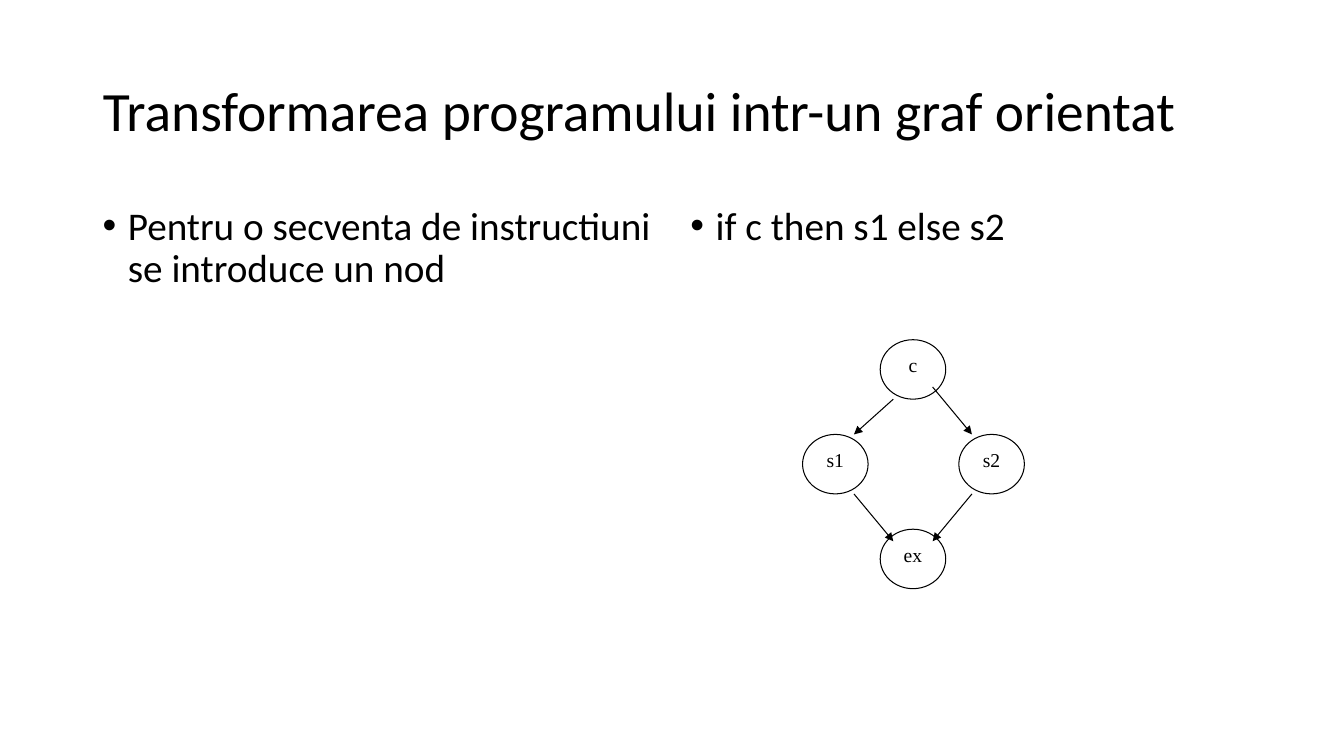
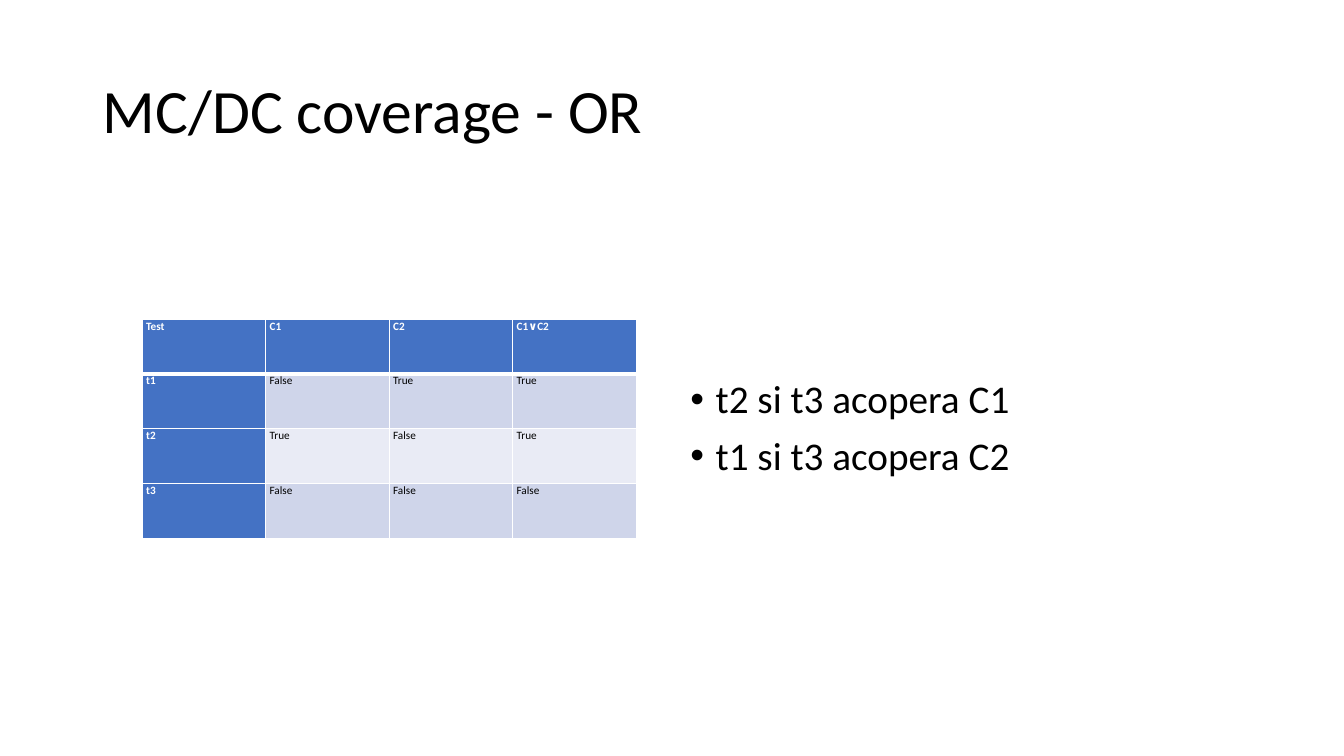
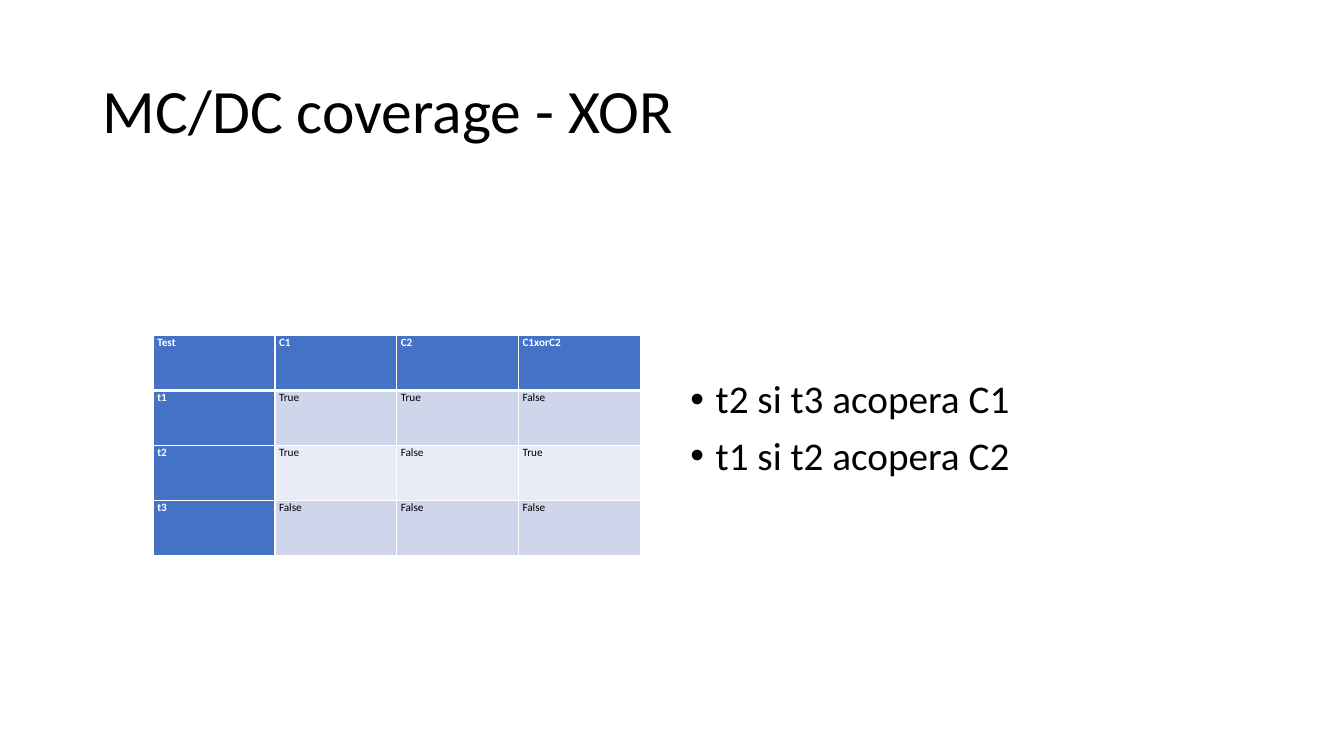
from dataclasses import dataclass
from typing import Any

from pptx import Presentation
from pptx.dml.color import RGBColor
from pptx.enum.shapes import MSO_CONNECTOR, MSO_SHAPE
from pptx.enum.text import MSO_ANCHOR, MSO_AUTO_SIZE, PP_ALIGN
from pptx.oxml.ns import qn
from pptx.util import Emu, Pt
from lxml import etree

# Shared look
EMU_PER_PX = 9144  # 100 px to the inch
COLORS = {
    "text": "000000",
    "paper": "FFFFFF",
    "header": "4472C4",
    "band_dark": "CFD5EA",
    "band_light": "E9EBF5",
}
SANS, SERIF = "Calibri", "Times New Roman"
OVAL, STRAIGHT = MSO_SHAPE.OVAL, MSO_CONNECTOR.STRAIGHT
TOP, MIDDLE = MSO_ANCHOR.TOP, MSO_ANCHOR.MIDDLE
LEFT, CENTER = PP_ALIGN.LEFT, PP_ALIGN.CENTER
NO_AUTOFIT = MSO_AUTO_SIZE.NONE
TITLE_ONLY = 5

LEFT_COLUMN, RIGHT_COLUMN = 92, 675
LIST_TOP, LIST_WIDTH, LIST_HEIGHT = 200, 567, 476
BULLET_INDENT = 25
NODE_WIDTH, NODE_HEIGHT = 65, 59


@dataclass(frozen=True)
class Node:
    label: str
    left: int
    top: int


@dataclass(frozen=True)
class Arrow:
    start: tuple[int, int]
    end: tuple[int, int]


@dataclass(frozen=True)
class Coverage:
    title: str
    table_box: tuple[int, int, int, int]
    rows: list[list[str]]
    notes: list[str]


# Content
NODES = [
    Node("c", 873, 337),
    Node("s1", 796, 431),
    Node("s2", 951, 431),
    Node("ex", 873, 525),
]
ARROWS = [
    Arrow((886, 396), (847, 431)),
    Arrow((925, 384), (964, 431)),
    Arrow((847, 490), (886, 537)),
    Arrow((964, 490), (925, 537)),
]
COVERAGES = [
    Coverage(
        "MC/DC coverage - OR",
        (141, 317, 490, 217),
        [
            ["Test", "C1", "C2", "C1∨C2"],
            ["t1", "False", "True", "True"],
            ["t2", "True", "False", "True"],
            ["t3", "False", "False", "False"],
        ],
        ["t2 si t3 acopera C1", "t1 si t3 acopera C2"],
    ),
    Coverage(
        "MC/DC coverage - XOR",
        (152, 333, 483, 218),
        [
            ["Test", "C1", "C2", "C1xorC2"],
            ["t1", "True", "True", "False"],
            ["t2", "True", "False", "True"],
            ["t3", "False", "False", "False"],
        ],
        ["t2 si t3 acopera C1", "t1 si t2 acopera C2"],
    ),
]


def px(length: int) -> Emu:
    return Emu(length * EMU_PER_PX)


def color(name: str) -> RGBColor:
    return RGBColor.from_string(COLORS[name])


def write(para: Any, text: str, *, size: float, font: str = SANS, ink: str = "text",
          bold: bool = False, align: Any = LEFT, spacing: float = 1.0,
          before: int = 0) -> None:
    """Put one formatted run into a paragraph."""
    para.alignment = align
    para.line_spacing = spacing
    para.space_before = Pt(before)
    span = para.add_run()
    span.text = text
    span.font.name = font
    span.font.size = Pt(size)
    span.font.bold = bold
    span.font.color.rgb = color(ink)


def add_page(deck: Any, title: str, *, size: float = 44) -> Any:
    page = deck.slides.add_slide(deck.slide_layouts[TITLE_ONLY])
    box = page.shapes.title
    box.left, box.top, box.width, box.height = map(px, (92, 40, 1150, 145))
    frame = box.text_frame
    frame.auto_size = NO_AUTOFIT
    frame.vertical_anchor = MIDDLE
    write(frame.paragraphs[0], title, size=size, spacing=0.9)
    return page


def add_list(page: Any, left: int, items: list[str], *, top_inset: int = 5) -> None:
    box = page.shapes.add_textbox(*map(px, (left, LIST_TOP, LIST_WIDTH, LIST_HEIGHT)))
    frame = box.text_frame
    frame.word_wrap = True
    frame.margin_top = px(top_inset)
    for index, item in enumerate(items):
        para = frame.add_paragraph() if index else frame.paragraphs[0]
        write(para, item, size=28, spacing=0.9, before=10 if index else 0)
        settings = para._p.get_or_add_pPr()
        settings.set("marL", str(px(BULLET_INDENT)))
        settings.set("indent", str(-px(BULLET_INDENT)))
        etree.SubElement(settings, qn("a:buFont"), typeface="Arial")
        etree.SubElement(settings, qn("a:buChar"), char="•")


def add_node(graph: Any, node: Node) -> None:
    oval = graph.shapes.add_shape(
        OVAL, *map(px, (node.left, node.top, NODE_WIDTH, NODE_HEIGHT)))
    oval.shadow.inherit = False
    oval.fill.solid()
    oval.fill.fore_color.rgb = color("paper")
    oval.line.color.rgb = color("text")
    oval.line.width = Pt(0.75)
    oval.text_frame.vertical_anchor = TOP
    write(oval.text_frame.paragraphs[0], node.label, size=14, font=SERIF, align=CENTER)


def add_arrow(graph: Any, arrow: Arrow) -> None:
    line = graph.shapes.add_connector(STRAIGHT, *map(px, arrow.start + arrow.end))
    line.line.color.rgb = color("text")
    line.line.width = Pt(0.75)
    etree.SubElement(line.line._get_or_add_ln(), qn("a:tailEnd"), type="triangle")
    etree.SubElement(line._element.spPr, qn("a:effectLst"))


def set_borders(cell: Any, widths: dict[str, int]) -> None:
    settings = cell._tc.get_or_add_tcPr()
    for side, width in widths.items():
        border = etree.SubElement(settings, qn(f"a:ln{side}"), w=str(Pt(width)))
        fill = etree.SubElement(border, qn("a:solidFill"))
        etree.SubElement(fill, qn("a:srgbClr"), val=COLORS["paper"])


def add_truth_table(page: Any, rows: list[list[str]], box: tuple[int, int, int, int]) -> None:
    table = page.shapes.add_table(len(rows), len(rows[0]), *map(px, box)).table
    table.first_col = True
    for row, values in enumerate(rows):
        band = "band_dark" if row % 2 else "band_light"
        for column, value in enumerate(values):
            cell = table.cell(row, column)
            heading = row == 0 or column == 0
            set_borders(cell, {"L": 1, "R": 1,
                               "T": 3 if row == 1 else 1, "B": 3 if row == 0 else 1})
            cell.fill.solid()
            cell.fill.fore_color.rgb = color("header" if heading else band)
            cell.margin_left = cell.margin_right = px(4)
            cell.margin_top = cell.margin_bottom = 0
            write(cell.text_frame.paragraphs[0], value, size=8, bold=heading,
                  ink="paper" if heading else "text")


def main() -> None:
    deck = Presentation()
    deck.slide_width, deck.slide_height = px(1333), px(750)

    # Program as a directed graph
    page = add_page(deck, "Transformarea programului intr-un graf orientat", size=39.6)
    add_list(page, LEFT_COLUMN, ["Pentru o secventa de instructiuni se introduce un nod"])
    add_list(page, RIGHT_COLUMN, ["if c then s1 else s2"])
    graph = page.shapes.add_group_shape()
    for node in NODES:
        add_node(graph, node)
    for arrow in ARROWS:
        add_arrow(graph, arrow)

    # Truth tables with their coverage notes
    for coverage in COVERAGES:
        page = add_page(deck, coverage.title)
        add_list(page, RIGHT_COLUMN, coverage.notes, top_inset=177)
        add_truth_table(page, coverage.rows, coverage.table_box)

    deck.save("out.pptx")


if __name__ == "__main__":
    main()
